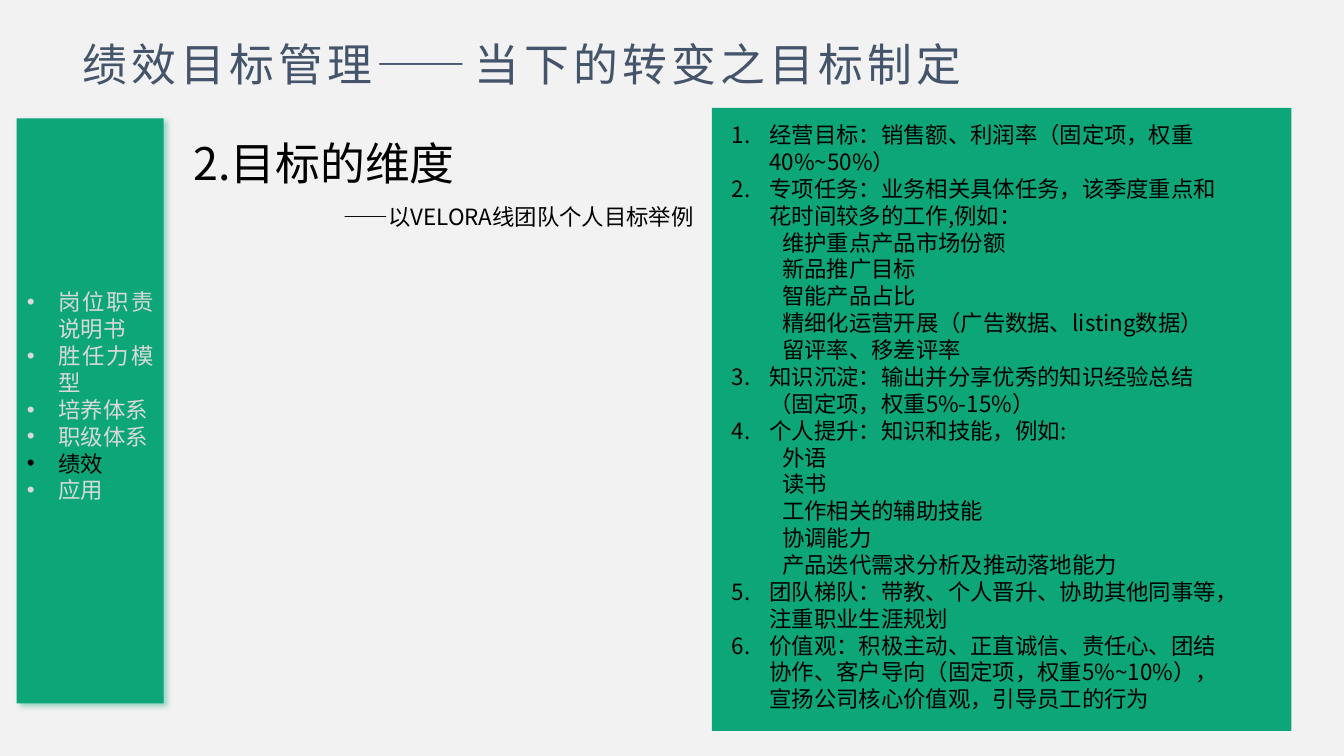
from lxml.etree import SubElement
from pptx import Presentation
from pptx.dml.color import RGBColor
from pptx.enum.lang import MSO_LANGUAGE_ID
from pptx.enum.shapes import MSO_SHAPE
from pptx.enum.text import MSO_ANCHOR, MSO_AUTO_SIZE, PP_ALIGN
from pptx.oxml.ns import qn
from pptx.util import Pt

GREEN = RGBColor(0x0C, 0xA6, 0x78)
BACKGROUND = RGBColor(0xF2, 0xF2, 0xF2)
SLATE = RGBColor(0x44, 0x54, 0x6A)
BLACK = RGBColor(0x00, 0x00, 0x00)
LIGHT_GREY = RGBColor(0xD9, 0xD9, 0xD9)

SECTIONS = ["岗位职责说明书", "胜任力模型", "培养体系", "职级体系", "绩效", "应用"]
CURRENT_SECTION = "绩效"

# Each numbered goal with its examples
GOALS = [
    ("经营目标：销售额、利润率（固定项，权重40%~50%）", []),
    ("专项任务：业务相关具体任务，该季度重点和花时间较多的工作,例如：",
     ["维护重点产品市场份额", "新品推广目标", "智能产品占比",
      "精细化运营开展（广告数据、listing数据）", "留评率、移差评率"]),
    ("知识沉淀：输出并分享优秀的知识经验总结（固定项，权重5%-15%）", []),
    ("个人提升：知识和技能，例如:",
     ["外语", "读书", "工作相关的辅助技能", "协调能力", "产品迭代需求分析及推动落地能力"]),
    ("团队梯队：带教、个人晋升、协助其他同事等，注重职业生涯规划", []),
    ("价值观：积极主动、正直诚信、责任心、团结协作、客户导向（固定项，权重5%~10%），"
     "宣扬公司核心价值观，引导员工的行为", []),
]


class GoalSlide:
    font_name = "Noto Sans CJK SC"
    single, loose = 1.2, 1.44  # line pitch as a multiple of the text size

    def __init__(self, presentation):
        self.slide = presentation.slides.add_slide(presentation.slide_layouts[3])
        self.slide.background.fill.solid()
        self.slide.background.fill.fore_color.rgb = BACKGROUND
        self.title_holder, self.goals_holder, self.sections_holder = self.slide.placeholders

    def place(self, shape, left, top, width, height):
        shape.left, shape.top = Pt(left), Pt(top)
        shape.width, shape.height = Pt(width), Pt(height)
        frame = shape.text_frame
        frame.word_wrap = True
        frame.auto_size = MSO_AUTO_SIZE.NONE
        frame.vertical_anchor = MSO_ANCHOR.TOP
        return frame

    def style(self, paragraph, size, color, alignment, pitch, spacing=0):
        paragraph.alignment = alignment
        paragraph.line_spacing = Pt(size * pitch)
        paragraph.space_before = Pt(0)
        for run in paragraph.runs:
            run.font.size = Pt(size)
            run.font.name = self.font_name
            run.font.color.rgb = color
            run.font.language_id = MSO_LANGUAGE_ID.SIMPLIFIED_CHINESE
            properties = run.font._element
            SubElement(properties, qn("a:ea"), typeface=self.font_name)
            if spacing:
                properties.set("spc", str(spacing * 100))

    def panel(self, box, shadow=False):
        """Green rectangle behind the placeholders."""
        left, top, width, height = map(Pt, box)
        shape = self.slide.shapes.add_shape(MSO_SHAPE.RECTANGLE, left, top, width, height)
        shape.fill.solid()
        shape.fill.fore_color.rgb = GREEN
        shape.line.fill.background()
        shape.shadow.inherit = False
        if shadow:
            effects = shape.element.spPr.find(qn("a:effectLst"))
            outer = SubElement(effects, qn("a:outerShdw"), blurRad=str(Pt(4)),
                               dist=str(Pt(3)), dir=str(45 * 60000), algn="tl", rotWithShape="0")
            color = SubElement(outer, qn("a:srgbClr"), val=str(GREEN))
            SubElement(color, qn("a:alpha"), val="40000")
        self.title_holder.element.addprevious(shape.element)

    def title(self, text, box):
        frame = self.place(self.title_holder, *box)
        frame.text = text
        self.style(frame.paragraphs[0], 32, SLATE, PP_ALIGN.CENTER, self.single, spacing=3)

    def label(self, text, box, size, alignment):
        shape = self.slide.shapes.add_textbox(0, 0, 0, 0)
        frame = self.place(shape, *box)
        frame.text = text
        self.style(frame.paragraphs[0], size, BLACK, alignment, self.loose)

    def list_item(self, paragraph, text, bullet, attributes, indent, hanging, color, alignment):
        paragraph.text = text
        properties = paragraph._p.get_or_add_pPr()
        properties.set("marL", str(Pt(indent)))
        properties.set("indent", str(-Pt(hanging)))
        SubElement(properties, qn(bullet), **attributes)
        self.style(paragraph, 16, color, alignment, self.single)

    def goal_list(self, goals, box):
        frame = self.place(self.goals_holder, *box)
        paragraph = frame.paragraphs[0]
        for number, (goal, examples) in enumerate(goals):
            if number:
                paragraph = frame.add_paragraph()
            self.list_item(paragraph, goal, "a:buAutoNum", {"type": "arabicPeriod"},
                           27, 27, BLACK, PP_ALIGN.LEFT)
            for example in examples:
                paragraph = frame.add_paragraph()
                paragraph.level = 1
                self.list_item(paragraph, example, "a:buNone", {}, 36, 0, BLACK, PP_ALIGN.LEFT)

    def section_list(self, sections, current, box):
        frame = self.place(self.sections_holder, *box)
        for number, section in enumerate(sections):
            paragraph = frame.add_paragraph() if number else frame.paragraphs[0]
            color = BLACK if section == current else LIGHT_GREY
            self.list_item(paragraph, section, "a:buChar", {"char": "•"},
                           22.5, 22.5, color, PP_ALIGN.JUSTIFY)


def main():
    presentation = Presentation()
    presentation.slide_width, presentation.slide_height = Pt(960), Pt(540)
    slide = GoalSlide(presentation)

    # Heading
    slide.title("绩效目标管理——当下的转变之目标制定", (15, 22.5, 716, 85))
    slide.label("2.目标的维度", (131, 85.5, 230.5, 54), 32, PP_ALIGN.LEFT)
    slide.label("——以VELORA线团队个人目标举例", (216, 137.5, 286.5, 30), 16, PP_ALIGN.RIGHT)

    # Goals on the right
    slide.panel((508.5, 77, 414, 445))
    slide.goal_list(GOALS, (515.5, 83, 368.5, 433.5))

    # Section navigation on the left
    slide.panel((12, 84.5, 105, 418), shadow=True)
    slide.section_list(SECTIONS, CURRENT_SECTION, (12, 202.5, 105, 162.5))

    presentation.save("out.pptx")


if __name__ == "__main__":
    main()
